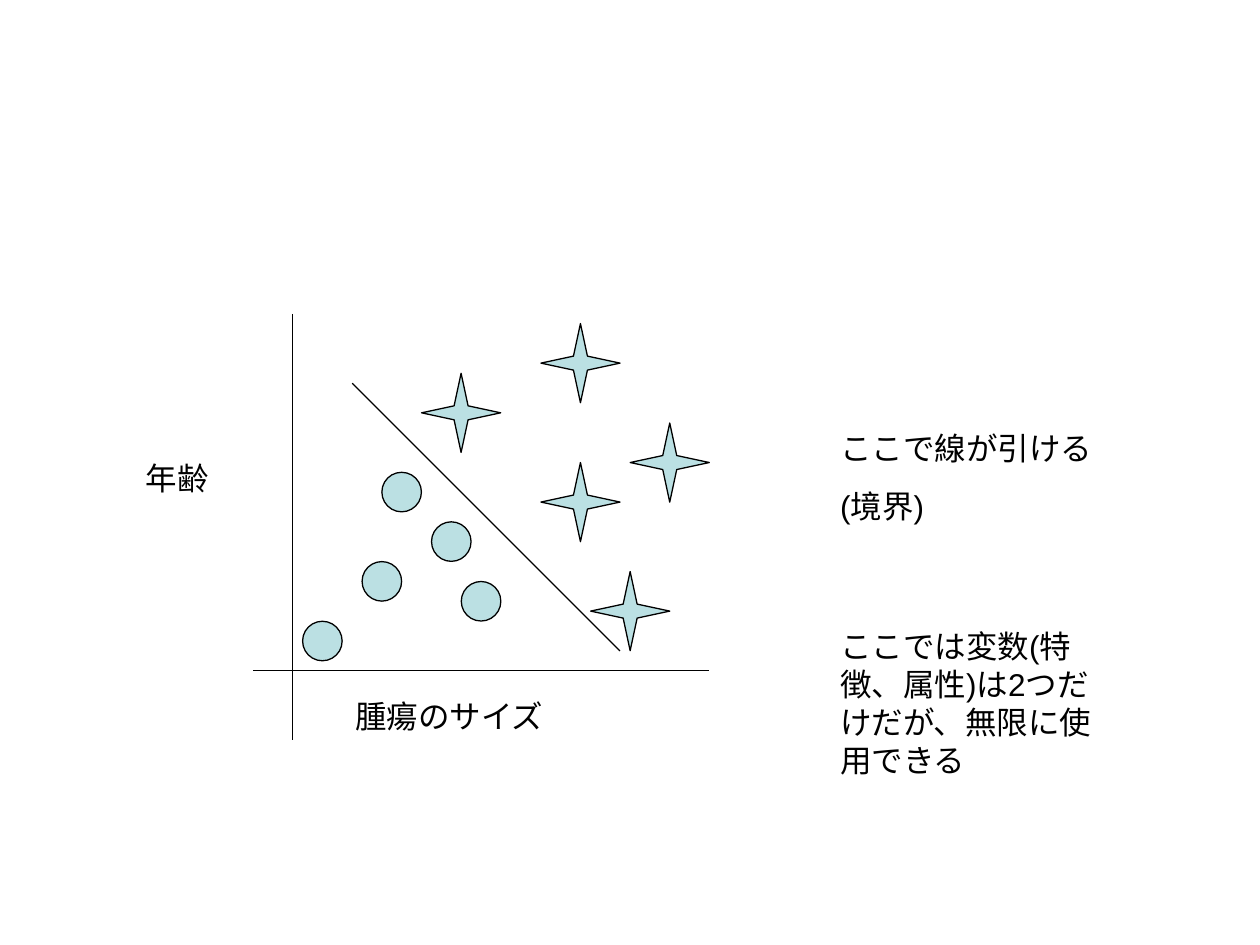
from lxml import etree
from pptx import Presentation
from pptx.dml.color import RGBColor
from pptx.enum.shapes import MSO_CONNECTOR as Connector, MSO_SHAPE as Shape
from pptx.enum.text import MSO_AUTO_SIZE as AutoSize
from pptx.oxml.ns import qn
from pptx.util import Pt

BLACK = "000000"
PALE_BLUE = "BBE0E3"


def color(hex_text):
    return RGBColor.from_string(hex_text)


deck = Presentation()
deck.slide_width, deck.slide_height = Pt(720), Pt(540)
page = deck.slides.add_slide(deck.slide_layouts[6])

# Axes: start and end points
axes = [(144.6, 383.2, 405.4, 383.2), (167.2, 179.3, 167.2, 423)]
boundary = (201.3, 219, 354.3, 372)
for ends in axes + [boundary]:
    line = page.shapes.add_connector(Connector.STRAIGHT, *map(Pt, ends))
    line.line.color.rgb = color(BLACK)
    line.line.width = Pt(0.75)
    etree.SubElement(line._element.spPr, qn("a:effectLst"))

# Two classes of data points, placed by their centres
circles = [(229.5, 281.2), (257.9, 309.5), (274.9, 343.6), (218.2, 332.2), (184.2, 366.3)]
stars = [(331.7, 207.5), (360.1, 349.2), (382.7, 264.3), (331.7, 286.9), (263.5, 235.9)]
for kind, size, centres in [(Shape.OVAL, 22.6, circles), (Shape.STAR_4_POINT, 45.2, stars)]:
    for x, y in centres:
        marker = page.shapes.add_shape(
            kind, Pt(x - size / 2), Pt(y - size / 2), Pt(size), Pt(size))
        marker.shadow.inherit = False
        marker.fill.solid()
        marker.fill.fore_color.rgb = color(PALE_BLUE)
        marker.line.color.rgb = color(BLACK)
        marker.line.width = Pt(0.75)

# Axis labels and remarks: left, top, width, height, text
labels = [
    (473, 241.9, 158.4, 61.9, "ここで線が引ける\n(境界)"),
    (195.8, 394.6, 159.1, 28.8, "腫瘍のサイズ"),
    (76.3, 258.5, 85, 28.8, "年齢"),
    (473, 355, 158.4, 93.6, "ここでは変数(特徴、属性)は2つだけだが、無限に使用できる"),
]
for left, top, width, height, text in labels:
    box = page.shapes.add_textbox(Pt(left), Pt(top), Pt(width), Pt(height))
    frame = box.text_frame
    frame.word_wrap = True
    frame.auto_size = AutoSize.SHAPE_TO_FIT_TEXT
    frame.text = text
    for para in frame.paragraphs:
        para.space_before = Pt(11.2)
        for span in para.runs:
            span.font.name = "Arial"
            span.font.size = Pt(18)
            span.font.color.rgb = color(BLACK)

deck.save("out.pptx")
